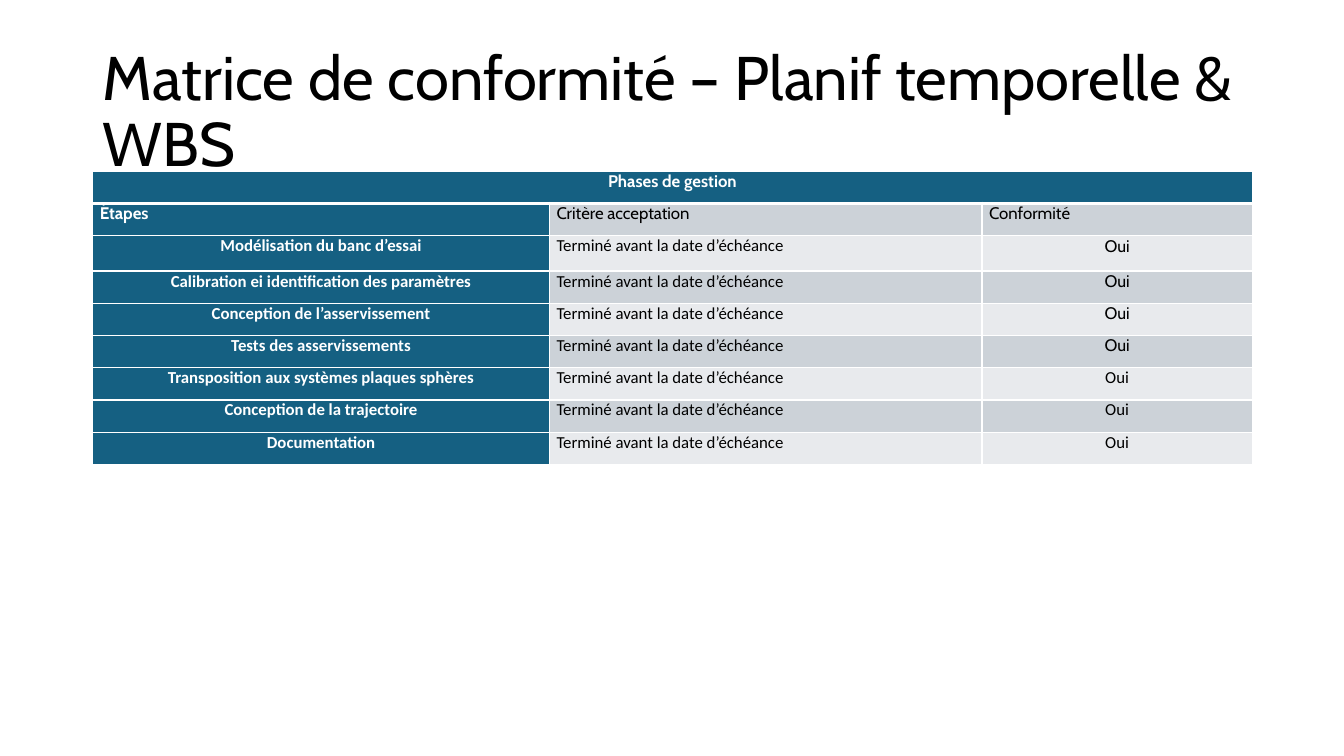
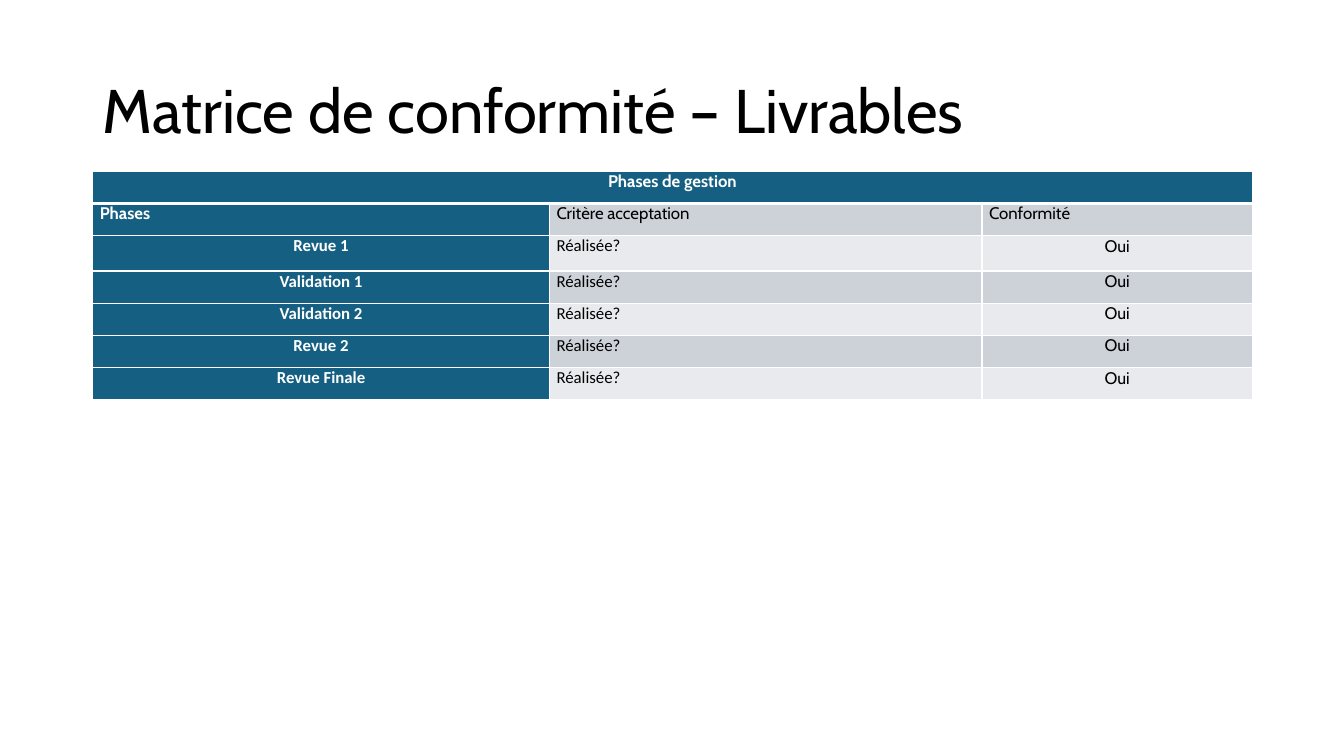
import pptx
import pptx.dml.color
import pptx.enum.text
import pptx.oxml
import pptx.oxml.ns
import pptx.util
from dataclasses import dataclass

PX = 9144  # EMU per px, 100 px to the inch
INK = {"head": "156082", "dark": "CCD2D8", "light": "E8EAED",
       "white": "FFFFFF", "black": "000000"}
CABIN, CALIBRI = "Cabin", "Calibri"
LEFT, TOP = 92, 170
COLS = (453, 429, 268)
ROW, TALL = 32, 35
ALIGN = pptx.enum.text.PP_ALIGN


@dataclass
class Step:
    name: str
    test: str
    font: str = CABIN  # font of the answer
    answer: str = "Oui"


@dataclass
class Page:
    title: str
    width: int
    label: str
    steps: list[Step]


@dataclass
class Look:
    fill: str
    ink: str = "black"
    font: str = CABIN
    bold: bool = False
    align: ALIGN = ALIGN.LEFT


DATE = "Terminé avant la date d’échéance"
DONE = "Réalisée?"
PAGES = [
    Page("Matrice de conformité – Planif temporelle & WBS", 1234, "Étapes", [
        Step("Modélisation du banc d’essai", DATE),
        Step("Calibration ei identification des paramètres", DATE),
        Step("Conception de l’asservissement", DATE),
        Step("Tests des asservissements", DATE),
        Step("Transposition aux systèmes plaques sphères", DATE, CALIBRI),
        Step("Conception de la trajectoire", DATE, CALIBRI),
        Step("Documentation", DATE, CALIBRI),
    ]),
    Page("Matrice de conformité – Livrables", 1150, "Phases", [
        Step(name, DONE) for name in
        ("Revue 1", "Validation 1", "Validation 2", "Revue 2", "Revue Finale")
    ]),
]


def px(num: int) -> pptx.util.Emu:
    return pptx.util.Emu(num * PX)


def tint(name: str) -> pptx.dml.color.RGBColor:
    return pptx.dml.color.RGBColor.from_string(INK[name])


def style(para, size: int, look: Look) -> None:
    para.alignment = look.align
    font = para.font
    font.name, font.size, font.bold = look.font, pptx.util.Pt(size), look.bold
    font.color.rgb = tint(look.ink)


def edge(cell, side: str, width: int) -> None:
    """Add one white border; call before the fill is set."""
    cell._tc.get_or_add_tcPr().append(pptx.oxml.parse_xml(
        f'<a:ln{side} {pptx.oxml.ns.nsdecls("a")} w="{pptx.util.Pt(width)}">'
        f'<a:solidFill><a:srgbClr val="{INK["white"]}"/></a:solidFill>'
        f'</a:ln{side}>'))


def draw_cell(cell, row: int, text: str, look: Look) -> None:
    cell.margin_left = cell.margin_right = px(7)
    cell.margin_top = cell.margin_bottom = 0
    # A thick rule parts the heading from the body
    for side in "LRTB":
        edge(cell, side, 3 if (row, side) in ((0, "B"), (1, "T")) else 1)
    cell.fill.solid()
    cell.fill.fore_color.rgb = tint(look.fill)
    cell.text = text
    style(cell.text_frame.paragraphs[0], 12, look)


def draw_title(slide, page: Page) -> None:
    title = slide.shapes.title
    title.left, title.top = px(LEFT), px(40)
    title.width, title.height = px(page.width), px(145)
    frame = title.text_frame
    frame.text = page.title
    frame.word_wrap = True
    frame.auto_size = pptx.enum.text.MSO_AUTO_SIZE.NONE
    frame.vertical_anchor = pptx.enum.text.MSO_ANCHOR.MIDDLE
    para = frame.paragraphs[0]
    para.line_spacing = 0.9
    style(para, 44, Look("white"))


def draw_table(slide, page: Page) -> None:
    tall = [ROW, ROW, TALL] + [ROW] * (len(page.steps) - 1)
    table = slide.shapes.add_table(
        len(tall), len(COLS), px(LEFT), px(TOP),
        px(sum(COLS)), px(sum(tall))).table
    for col, width in zip(table.columns, COLS):
        col.width = px(width)
    for row, height in zip(table.rows, tall):
        row.height = px(height)

    # Heading across all columns
    mid = ALIGN.CENTER
    top = Look("head", "white", CABIN, True, mid)
    for col, text in enumerate(("Phases de gestion", "", "")):
        draw_cell(table.cell(0, col), 0, text, top)
    table.cell(0, 0).merge(table.cell(0, len(COLS) - 1))

    # Column labels
    labels = (page.label, "Critère acceptation", "Conformité")
    looks = (Look("head", "white", CABIN, True), Look("dark"), Look("dark"))
    for col, (text, look) in enumerate(zip(labels, looks)):
        draw_cell(table.cell(1, col), 1, text, look)

    # Banded steps
    for row, step in enumerate(page.steps, 2):
        band = "dark" if row % 2 else "light"
        looks = (Look("head", "white", CALIBRI, True, mid),
                 Look(band, font=CALIBRI),
                 Look(band, font=step.font, align=mid))
        texts = (step.name, step.test, step.answer)
        for col, (text, look) in enumerate(zip(texts, looks)):
            draw_cell(table.cell(row, col), row, text, look)


def main() -> None:
    deck = pptx.Presentation()
    deck.slide_width, deck.slide_height = px(1333), px(750)
    for page in PAGES:
        slide = deck.slides.add_slide(deck.slide_layouts[5])
        draw_title(slide, page)
        draw_table(slide, page)
    deck.save("out.pptx")


if __name__ == "__main__":
    main()
